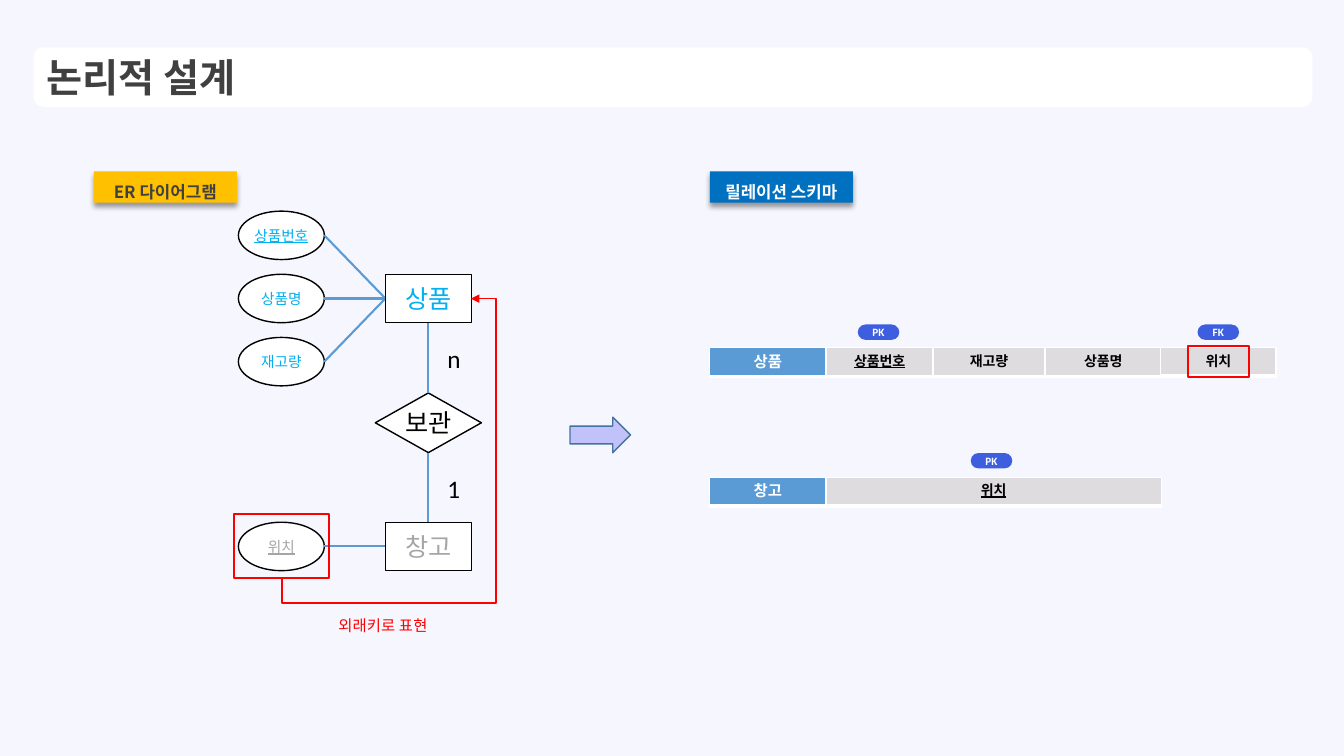
from lxml.etree import SubElement
from pptx import Presentation
from pptx.dml.color import RGBColor
from pptx.enum.shapes import MSO_CONNECTOR, MSO_SHAPE
from pptx.enum.text import MSO_ANCHOR, MSO_AUTO_SIZE, PP_ALIGN
from pptx.oxml.ns import qn
from pptx.util import Pt

COLORS = {
    "background": "F6F6FE", "white": "FFFFFF", "black": "000000",
    "dark": "404040", "amber": "FFC000", "blue": "0070C0",
    "header": "5B9BD5", "cell": "DEDCDF", "product": "00B0F0",
    "storage": "A5A5A5", "red": "FF0000", "key": "3D5EDF",
    "arrow": "C2C2FA", "arrow_line": "43739E",
}
HEADING_FONT = "Noto Sans CJK KR"
BODY_FONT = "Calibri"
DEFAULT_INSETS = (7.2, 3.6, 7.2, 3.6)

ATTRIBUTE_X, ENTITY_X = 201, 306
PRODUCT_Y, RELATION_Y, STORAGE_Y = 213.2, 302, 390.3
ATTRIBUTE_STEP = 45.1
NODE_WIDTH, NODE_HEIGHT = 61.4, 34.6
SCHEMA_X, PRODUCT_TABLE_Y, STORAGE_TABLE_Y = 507, 248.4, 340.8


def color(name):
    """Return the named colour."""
    return RGBColor.from_string(COLORS[name])


def write(frame, text, size, ink, font=BODY_FONT, bold=False, underline=False,
          align=PP_ALIGN.CENTER):
    """Add one formatted run to the first paragraph of a text frame."""
    paragraph = frame.paragraphs[0]
    paragraph.alignment = align
    run = paragraph.add_run()
    run.text = text
    run.font.size = Pt(size)
    run.font.name = font
    run.font.bold = bold
    run.font.underline = underline
    run.font.color.rgb = color(ink)
    SubElement(run.font._element, qn("a:ea"), typeface=font)


def set_insets(frame, insets):
    """Set the left, top, right and bottom margins of a frame or cell."""
    (frame.margin_left, frame.margin_top,
     frame.margin_right, frame.margin_bottom) = map(Pt, insets)


def add_box(slide, kind, left, top, width, height, fill=None, line=None,
            line_width=1, insets=DEFAULT_INSETS, anchor=MSO_ANCHOR.MIDDLE):
    """Add a preset shape without shadow and return it."""
    shape = slide.shapes.add_shape(
        kind, Pt(left), Pt(top), Pt(width), Pt(height))
    shape.shadow.inherit = False
    if fill:
        shape.fill.solid()
        shape.fill.fore_color.rgb = color(fill)
    else:
        shape.fill.background()
    if line:
        shape.line.color.rgb = color(line)
        shape.line.width = Pt(line_width)
    else:
        shape.line.fill.background()
    shape.text_frame.word_wrap = True
    shape.text_frame.vertical_anchor = anchor
    set_insets(shape.text_frame, insets)
    return shape


def add_node(slide, kind, center_x, center_y, text, size, ink,
             width=NODE_WIDTH, height=NODE_HEIGHT, underline=False):
    """Add an entity, attribute or relationship around its centre."""
    shape = add_box(slide, kind, center_x - width / 2, center_y - height / 2,
                    width, height, "white", "black", insets=(0, 0, 0, 0))
    write(shape.text_frame, text, size, ink, underline=underline)


def add_badge(slide, left, text, fill, ink):
    """Add a section heading with a soft shadow."""
    shape = add_box(slide, MSO_SHAPE.RECTANGLE, left, 122.4, 102.2, 22.3, fill,
                    insets=(0, 0, 0, 3.6), anchor=MSO_ANCHOR.TOP)
    shape.text_frame.auto_size = MSO_AUTO_SIZE.SHAPE_TO_FIT_TEXT
    write(shape.text_frame, text, 12, ink, HEADING_FONT, bold=True)
    shape.text_frame.paragraphs[0].line_spacing = 1.5
    effects = shape._element.spPr.find(qn("a:effectLst"))
    shadow = SubElement(effects, qn("a:outerShdw"), blurRad=str(Pt(4)),
                        dist=str(Pt(3)), dir="5400000", rotWithShape="0")
    shade = SubElement(shadow, qn("a:srgbClr"), val=COLORS["black"])
    SubElement(shade, qn("a:alpha"), val="40000")


def add_key(slide, left, top, text):
    """Add a key pill above a schema column."""
    shape = add_box(slide, MSO_SHAPE.ROUNDED_RECTANGLE,
                    left, top, 29.7, 11, "key")
    shape.adjustments[0] = 0.5
    write(shape.text_frame, text, 8, "white", bold=True)


def add_label(slide, left, top, width, height, text, size, ink):
    """Add an unwrapped caption."""
    shape = slide.shapes.add_textbox(Pt(left), Pt(top), Pt(width), Pt(height))
    shape.text_frame.word_wrap = False
    shape.text_frame.auto_size = MSO_AUTO_SIZE.SHAPE_TO_FIT_TEXT
    write(shape.text_frame, text, size, ink, align=PP_ALIGN.LEFT)


def add_line(slide, start, end, ink="header", width=1.5,
             kind=MSO_CONNECTOR.STRAIGHT):
    """Connect two points and return the connector."""
    line = slide.shapes.add_connector(kind, *map(Pt, start + end))
    line.line.color.rgb = color(ink)
    line.line.width = Pt(width)
    SubElement(line._element.spPr, qn("a:effectLst"))
    return line


def add_foreign_key_arrow(slide):
    """Add the bent arrow from the location attribute to the product."""
    # The frame is given unrotated; a quarter turn puts its ends in place.
    arrow = add_line(slide, (368.6, 380.6), (169.2, 245.5), "red", 1,
                     MSO_CONNECTOR.ELBOW)
    properties = arrow._element.spPr
    properties.find(qn("a:xfrm")).set("rot", "5400000")
    geometry = properties.find(qn("a:prstGeom"))
    geometry.set("prst", "bentConnector4")
    guides = geometry.find(qn("a:avLst"))
    for name, value in (("adj1", -9000), ("adj2", 113300)):
        SubElement(guides, qn("a:gd"), name=name, fmla=f"val {value}")
    SubElement(properties.find(qn("a:ln")), qn("a:tailEnd"), type="triangle")


def add_schema(slide, top, widths, names, side_inset):
    """Add a relation as a one-row table: its name, then its columns."""
    table_frame = slide.shapes.add_table(
        1, len(names), Pt(SCHEMA_X), Pt(top), Pt(sum(widths)), Pt(20))
    table = table_frame.table
    for index, (width, name) in enumerate(zip(widths, names)):
        table.columns[index].width = Pt(width)
        cell = table.cell(0, index)
        set_insets(cell, (side_inset, 3.6, side_inset, 3.6))
        size, ink, fill = ((11, "white", "header") if index == 0
                           else (10, "black", "cell"))
        write(cell.text_frame, name, size, ink, bold=True,
              underline=index == 1)
        properties = cell._tc.get_or_add_tcPr()
        for side, weight in (("L", 1), ("R", 1), ("T", 1), ("B", 3)):
            border = SubElement(properties, qn(f"a:ln{side}"),
                                w=str(Pt(weight)))
            paint = SubElement(border, qn("a:solidFill"))
            SubElement(paint, qn("a:srgbClr"), val=COLORS["white"])
        cell.fill.solid()
        cell.fill.fore_color.rgb = color(fill)


def add_er_diagram(slide):
    """Draw the entities, attributes, relationship and foreign key."""
    half_width, half_height = NODE_WIDTH / 2, NODE_HEIGHT / 2
    attribute_edge, entity_edge = ATTRIBUTE_X + half_width, ENTITY_X - half_width
    attributes = [
        ("상품번호", PRODUCT_Y - ATTRIBUTE_STEP, PRODUCT_Y, "product", True),
        ("상품명", PRODUCT_Y, PRODUCT_Y, "product", False),
        ("재고량", PRODUCT_Y + ATTRIBUTE_STEP, PRODUCT_Y, "product", False),
        ("위치", STORAGE_Y, STORAGE_Y, "storage", True),
    ]
    for name, center_y, entity_y, ink, is_key in attributes:
        add_node(slide, MSO_SHAPE.OVAL, ATTRIBUTE_X, center_y, name, 10.5, ink,
                 underline=is_key)
        add_line(slide, (attribute_edge, center_y), (entity_edge, entity_y))
    for name, center_y, ink in (("상품", PRODUCT_Y, "product"),
                                ("창고", STORAGE_Y, "storage")):
        add_node(slide, MSO_SHAPE.RECTANGLE, ENTITY_X, center_y, name, 18, ink)
    add_node(slide, MSO_SHAPE.DIAMOND, ENTITY_X, RELATION_Y, "보관", 18,
             "black", 75.8, 42.6)
    for start, end in ((PRODUCT_Y + half_height, RELATION_Y - 21.3),
                       (RELATION_Y + 21.3, STORAGE_Y - half_height)):
        add_line(slide, (ENTITY_X, start), (ENTITY_X, end))
    add_label(slide, 312.5, 241.4, 24.3, 29, "n", 18, "black")
    add_label(slide, 312.5, 334.3, 24, 29, "1", 18, "black")
    add_box(slide, MSO_SHAPE.RECTANGLE, 167, 367.4, 68.2, 45.4,
            line="red", line_width=1.5)
    add_foreign_key_arrow(slide)
    add_label(slide, 234.7, 436.3, 83.5, 20.6, "외래키로 표현", 11, "red")


def add_relation_schema(slide):
    """Draw the two relations with their keys."""
    add_schema(slide, PRODUCT_TABLE_Y, (83, 76.5, 80, 83),
               ("상품", "상품번호", "재고량", "상품명"), 0)
    add_schema(slide, STORAGE_TABLE_Y, (83, 239.5), ("창고", "위치"), 7.2)
    add_box(slide, MSO_SHAPE.RECTANGLE, 829, 266.4, 82.6, 3.4, "white", "white")
    location = add_box(slide, MSO_SHAPE.RECTANGLE, 829, PRODUCT_TABLE_Y, 82.6,
                       19.4, "cell", "white", anchor=MSO_ANCHOR.TOP)
    location.text_frame.auto_size = MSO_AUTO_SIZE.SHAPE_TO_FIT_TEXT
    write(location.text_frame, "위치", 10, "black", bold=True)
    add_box(slide, MSO_SHAPE.RECTANGLE, 848.7, 247, 43.2, 22.3,
            line="red", line_width=1.5)
    for left, top, text in ((612.7, 231.8, "PK"), (855.4, 231.8, "FK"),
                            (693.4, 323.6, "PK")):
        add_key(slide, left, top, text)


def main():
    """Build the logical design slide."""
    presentation = Presentation()
    presentation.slide_width, presentation.slide_height = Pt(960), Pt(540)
    slide = presentation.slides.add_slide(presentation.slide_layouts[6])
    slide.background.fill.solid()
    slide.background.fill.fore_color.rgb = color("background")
    title = add_box(slide, MSO_SHAPE.ROUNDED_RECTANGLE,
                    23.8, 33.8, 913.7, 42.5, "white")
    write(title.text_frame, "논리적 설계", 28, "dark", HEADING_FONT, bold=True,
          align=PP_ALIGN.LEFT)
    add_badge(slide, 67, "ER 다이어그램", "amber", "dark")
    add_badge(slide, SCHEMA_X, "릴레이션 스키마", "blue", "white")
    add_box(slide, MSO_SHAPE.RIGHT_ARROW, 407.2, 298, 43.2, 25.4,
            "arrow", "arrow_line")
    add_er_diagram(slide)
    add_relation_schema(slide)
    presentation.save("out.pptx")


main()
